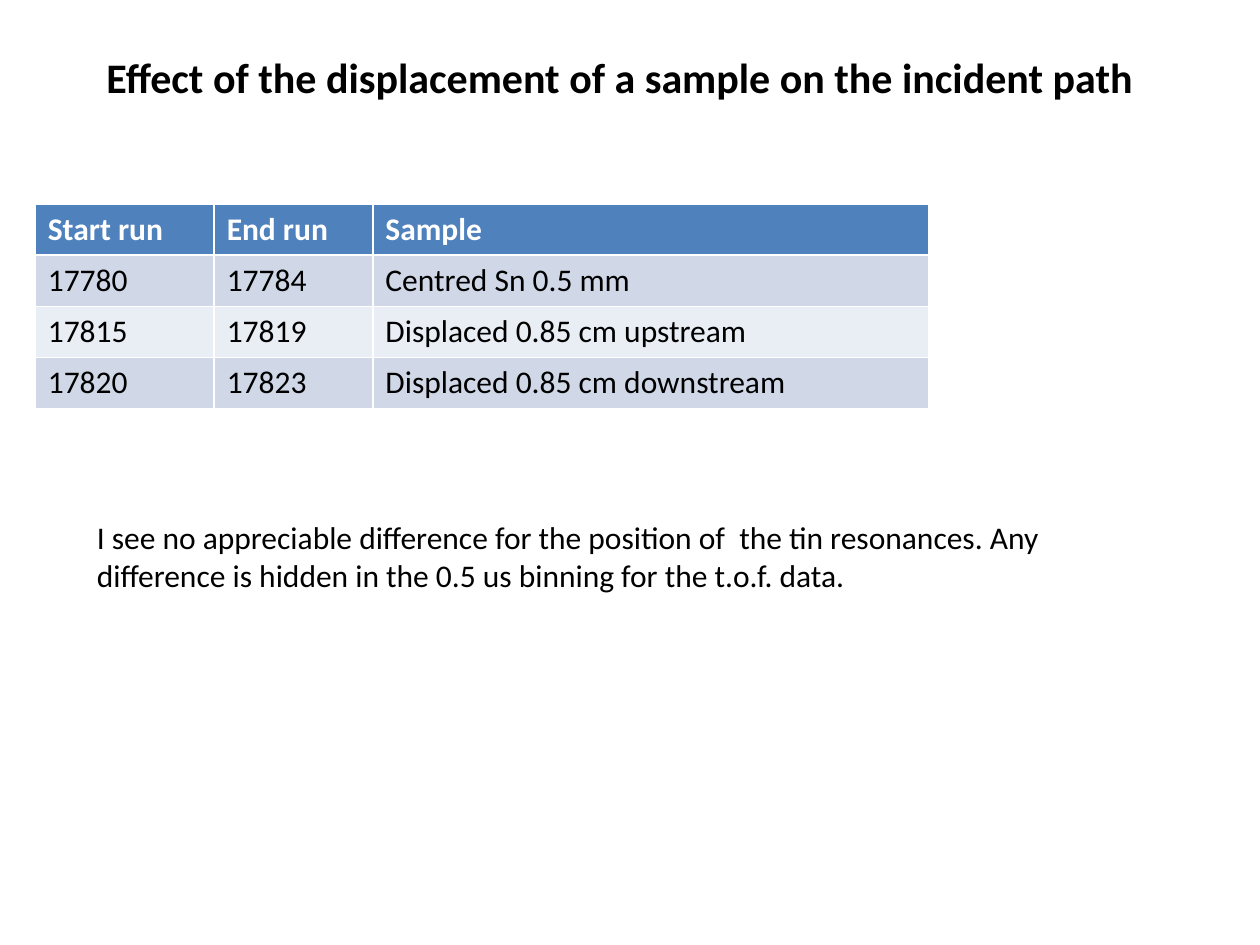
"""Build a slide on sample displacement with a table of runs and a remark."""
import dataclasses

import pptx
import pptx.dml.color
import pptx.enum.text
import pptx.util

Inches = pptx.util.Inches


@dataclasses.dataclass(frozen=True)
class Theme:
    font: str = "Calibri"
    title: int = 24
    body: int = 18
    dark: str = "000000"
    light: str = "FFFFFF"
    head: str = "4F81BD"
    bands: tuple = ("D0D8E8", "E9EDF4")


THEME = Theme()
WIDTHS = (1.42, 1.26, 4.41)
ROWS = (
    ("Start run", "End run", "Sample"),
    ("17780", "17784", "Centred Sn 0.5 mm"),
    ("17815", "17819", "Displaced 0.85 cm upstream"),
    ("17820", "17823", "Displaced 0.85 cm downstream"),
)
REMARK = (
    "I see no appreciable difference for the position of  the tin resonances. "
    "Any difference is hidden in the 0.5 us binning for the t.o.f. data."
)


def color(code):
    return pptx.dml.color.RGBColor.from_string(code)


def write(frame, text, size, ink=THEME.dark, bold=False):
    run = frame.paragraphs[0].add_run()
    run.text = text
    font = run.font
    font.name, font.size, font.bold = THEME.font, pptx.util.Pt(size), bold
    font.color.rgb = color(ink)


def add_title(slide, text, box):
    title = slide.shapes.title
    title.left, title.top, title.width, title.height = map(Inches, box)
    frame = title.text_frame
    frame.auto_size = pptx.enum.text.MSO_AUTO_SIZE.NONE
    frame.paragraphs[0].alignment = pptx.enum.text.PP_ALIGN.CENTER
    write(frame, text, THEME.title, bold=True)


def add_runs(slide, left, top, height):
    table = slide.shapes.add_table(
        len(ROWS), len(WIDTHS),
        Inches(left), Inches(top), Inches(sum(WIDTHS)), Inches(height),
    ).table
    for column, width in zip(table.columns, WIDTHS):
        column.width = Inches(width)
    for i, row in enumerate(ROWS):
        head = i == 0
        fill = THEME.head if head else THEME.bands[(i - 1) % 2]
        ink = THEME.light if head else THEME.dark
        for j, text in enumerate(row):
            cell = table.cell(i, j)
            cell.fill.solid()
            cell.fill.fore_color.rgb = color(fill)
            write(cell.text_frame, text, THEME.body, ink, head)


def add_note(slide, text, box):
    frame = slide.shapes.add_textbox(*map(Inches, box)).text_frame
    frame.word_wrap = True
    write(frame, text, THEME.body)


def main():
    deck = pptx.Presentation()
    deck.slide_width, deck.slide_height = Inches(10), Inches(7.5)
    slide = deck.slides.add_slide(deck.slide_layouts.get_by_name("Title Only"))
    add_title(
        slide,
        "Effect of the displacement of a sample on the incident path",
        (0.51, 0.36, 8.82, 0.5),
    )
    add_runs(slide, 0.28, 1.62, 1.62)
    add_note(slide, REMARK, (0.67, 4.06, 8.58, 0.71))
    deck.save("out.pptx")


if __name__ == "__main__":
    main()
